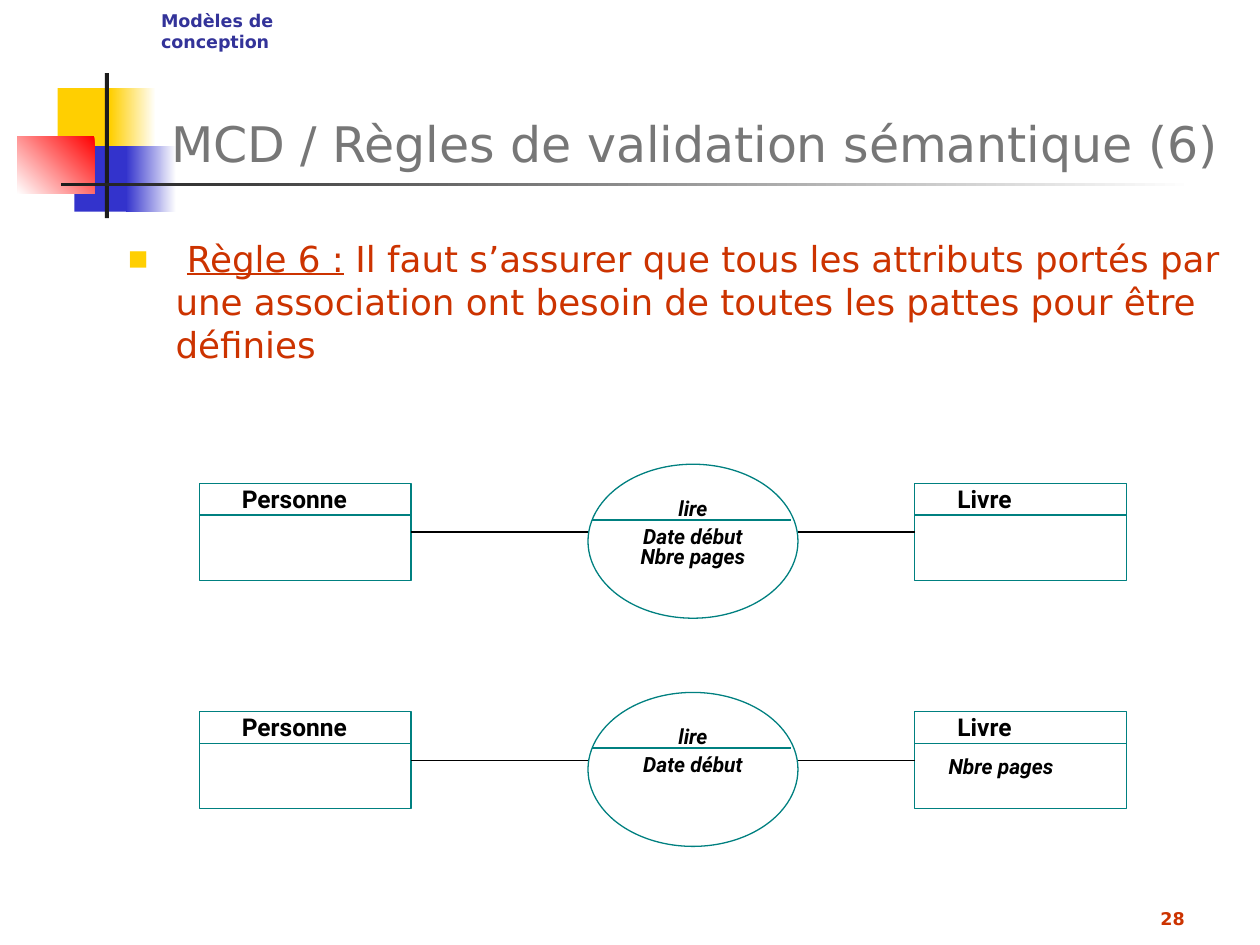
from dataclasses import dataclass

from lxml.etree import SubElement
from pptx import Presentation
from pptx.dml.color import RGBColor
from pptx.enum.shapes import MSO_CONNECTOR, MSO_SHAPE
from pptx.enum.text import MSO_ANCHOR, PP_ALIGN
from pptx.oxml.ns import qn
from pptx.util import Pt


@dataclass(frozen=True)
class Theme:
    yellow: str = "FFCF01"
    blue: str = "3333CC"
    red: str = "FF0000"
    white: str = "FFFFFF"
    ink: str = "1C1C1C"
    black: str = "000000"
    teal: str = "008080"
    title_grey: str = "777777"
    rust: str = "CC3300"
    navy: str = "333399"
    text_font: str = "DejaVu Sans"
    diagram_font: str = "Roboto"
    title_size: float = 28
    body_size: float = 20.4
    entity_size: float = 14
    attribute_size: float = 12
    small_size: float = 10
    line_width: float = 0.75


def rgb(code):
    return RGBColor.from_string(code)


class SlideBuilder:
    def __init__(self, slide, theme):
        self.slide = slide
        self.theme = theme

    def shape(self, kind, x, y, width, height):
        shape = self.slide.shapes.add_shape(kind, Pt(x), Pt(y), Pt(width), Pt(height))
        shape.shadow.inherit = False
        return shape

    def block(self, x, y, width, height, start, end=None, angle=180):
        """Borderless rectangle, solid or with a two-colour gradient."""
        shape = self.shape(MSO_SHAPE.RECTANGLE, x, y, width, height)
        shape.line.fill.background()
        if end is None:
            shape.fill.solid()
            shape.fill.fore_color.rgb = rgb(start)
            return
        shape.fill.gradient()
        shape.fill.gradient_angle = angle
        for stop, colour, position in zip(shape.fill.gradient_stops, (start, end), (0, 1)):
            stop.color.rgb = rgb(colour)
            stop.position = position

    def outline(self, kind, x, y, width, height):
        shape = self.shape(kind, x, y, width, height)
        shape.fill.background()
        shape.line.color.rgb = rgb(self.theme.teal)
        shape.line.width = Pt(self.theme.line_width)
        return shape

    def connector(self, kind, x1, y1, x2, y2, colour):
        connector = self.slide.shapes.add_connector(kind, Pt(x1), Pt(y1), Pt(x2), Pt(y2))
        connector.line.color.rgb = rgb(colour)
        connector.line.width = Pt(self.theme.line_width)
        SubElement(connector._element.spPr, qn("a:effectLst"))
        return connector

    def divider(self, x1, x2, y):
        self.connector(MSO_CONNECTOR.STRAIGHT, x1, y, x2, y, self.theme.teal)

    def font(self, span, size, colour, name, bold=False, italic=False):
        span.font.size = Pt(size)
        span.font.color.rgb = rgb(colour)
        span.font.name = name
        span.font.bold = bold
        span.font.italic = italic

    def text(self, x, y, width, height, content, size, colour, name, *, bold=False,
             italic=False, spacing=None, align=PP_ALIGN.LEFT, anchor=MSO_ANCHOR.TOP):
        box = self.slide.shapes.add_textbox(Pt(x), Pt(y), Pt(width), Pt(height))
        frame = box.text_frame
        frame.word_wrap = True
        frame.vertical_anchor = anchor
        frame.text = content
        para = frame.paragraphs[0]
        para.alignment = align
        if spacing:
            para.line_spacing = spacing
        self.font(para.runs[0], size, colour, name, bold, italic)

    def rule(self, x, y, width, height, heading, statement):
        """Bulleted paragraph that opens with an underlined heading."""
        theme = self.theme
        box = self.slide.shapes.add_textbox(Pt(x), Pt(y), Pt(width), Pt(height))
        box.text_frame.word_wrap = True
        para = box.text_frame.paragraphs[0]
        properties = para._p.get_or_add_pPr()
        properties.set("marL", str(Pt(27)))
        properties.set("indent", str(-Pt(27)))
        bullet_colour = SubElement(properties, qn("a:buClr"))
        SubElement(bullet_colour, qn("a:srgbClr"), val=theme.yellow)
        SubElement(properties, qn("a:buSzPct"), val="60000")
        SubElement(properties, qn("a:buFont"), typeface=theme.text_font)
        SubElement(properties, qn("a:buChar"), char="■")
        for content in (" ", heading, statement):
            span = para.add_run()
            span.text = content
            self.font(span, theme.body_size, theme.rust, theme.text_font)
            span.font.underline = content == heading

    def entity(self, x, y, name, name_width):
        theme = self.theme
        box = self.outline(MSO_SHAPE.RECTANGLE, x, y, 121, 55.4)
        self.divider(x, x + 121, y + 18)
        self.text(x + 17.3, y - 5, name_width, 26, name, theme.entity_size,
                  theme.black, theme.diagram_font, bold=True, spacing=1.1)
        return box

    def association(self, x, y, lines):
        """Ellipse holding the association name and the attributes it carries."""
        theme = self.theme
        ellipse = self.outline(MSO_SHAPE.OVAL, x, y, 120, 88)
        frame = ellipse.text_frame
        frame.word_wrap = True
        frame.vertical_anchor = MSO_ANCHOR.TOP
        frame.text = "\n".join(lines)
        for index, para in enumerate(frame.paragraphs):
            para.alignment = PP_ALIGN.CENTER
            para.line_spacing = 1.1 if index < 2 else 0.8
            self.font(para.runs[0], theme.attribute_size, theme.black,
                      theme.diagram_font, bold=True, italic=True)
        self.divider(x + 2.3, x + 116, y + 31.8)

    def link(self, x, y, entity, side):
        """Elbow from the association's edge to the middle of an entity's side."""
        end = entity.left if side == 1 else entity.left + entity.width
        link = self.connector(MSO_CONNECTOR.ELBOW, x, y, end.pt if side == 1 else Pt(0).pt,
                              y, self.theme.black)
        link.end_connect(entity, side)


def add_decoration(builder):
    theme = builder.theme
    builder.block(33, 50.4, 34.6, 37.4, theme.yellow)
    builder.block(63, 50.4, 26, 37.4, theme.white, theme.yellow)
    builder.block(42.5, 83.5, 33, 37.4, theme.blue)
    builder.block(72, 83.5, 28.8, 37.4, theme.white, theme.blue)
    builder.block(10, 77.8, 44, 33, theme.red, theme.white, angle=225)
    builder.block(60, 41.8, 2.2, 82.8, theme.ink)
    builder.block(34.6, 104.4, 648, 2.2, theme.white, theme.ink)


def add_diagram(builder, top, association_lines):
    person = builder.entity(113.8, top, "Personne", 80)
    book = builder.entity(522.7, top, "Livre", 49)
    builder.association(336, top - 11, association_lines)
    middle = top + 27.7
    builder.link(336, middle, person, 3)
    builder.link(456, middle, book, 1)


def main():
    theme = Theme()
    deck = Presentation()
    deck.slide_width, deck.slide_height = Pt(720), Pt(540)
    builder = SlideBuilder(deck.slides.add_slide(deck.slide_layouts[6]), theme)

    add_decoration(builder)
    builder.text(90.7, 12.2, 629.3, 90, "MCD / Règles de validation sémantique (6)",
                 theme.title_size, theme.title_grey, theme.text_font,
                 anchor=MSO_ANCHOR.BOTTOM)
    builder.rule(66.2, 131.8, 653.8, 72, "Règle 6 :",
                 " Il faut s’assurer que tous les attributs portés par une association "
                 "ont besoin de toutes les pattes pour être définies")
    builder.text(85, 2.2, 128, 19.4, "Modèles de conception", theme.small_size,
                 theme.navy, theme.text_font, bold=True)

    diagrams = (("lire", "Date début", "Nbre pages"), ("lire", "Date début"))
    for row, lines in enumerate(diagrams):
        add_diagram(builder, 276.3 + row * 130.4, lines)
    builder.text(535, 427, 79.2, 21.6, "Nbre pages", theme.attribute_size,
                 theme.black, theme.diagram_font, bold=True, italic=True)

    builder.text(534.2, 498.2, 149.8, 36, "28", theme.small_size, theme.rust,
                 theme.text_font, bold=True, align=PP_ALIGN.RIGHT,
                 anchor=MSO_ANCHOR.BOTTOM)
    deck.save("out.pptx")


if __name__ == "__main__":
    main()
